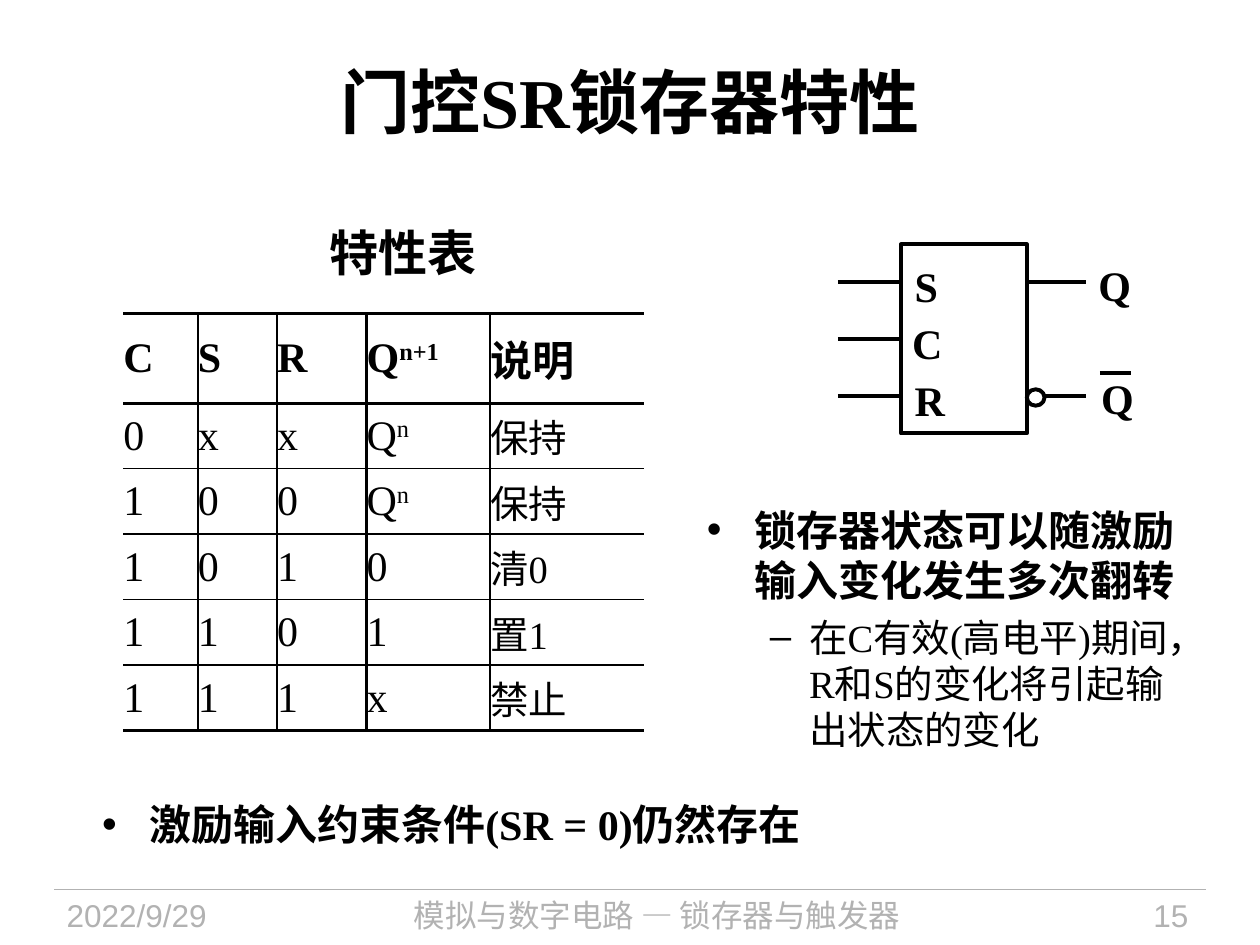
from lxml import etree
from pptx import Presentation
from pptx import util as u
from pptx.dml import color
from pptx.enum import shapes, text
from pptx.oxml import ns

BLACK = color.RGBColor(0, 0, 0)
WHITE = color.RGBColor(255, 255, 255)
GREY = color.RGBColor(0xB2, 0xB2, 0xB2)
ROMAN, ARIAL, HAN = "Times New Roman", "Arial", "Noto Sans CJK SC"
LEFT, MID, RIGHT = (text.PP_ALIGN.LEFT, text.PP_ALIGN.CENTER,
                    text.PP_ALIGN.RIGHT)

BOLD = {"name": ROMAN, "size": u.Pt(24), "bold": True}
PLAIN = {**BOLD, "bold": False}
SMALL = {**PLAIN, "size": u.Pt(22)}
TITLE = {**BOLD, "size": u.Pt(40)}
HEAD = {"name": ARIAL, "size": u.Pt(28), "bold": True}
FOOT = {"name": ARIAL, "size": u.Pt(18)}

# Truth table: a caret marks the start of a superscript
COLS = [0.59, 0.63, 0.71, 0.98, 1.22]
ROWS = [0.71] + [0.52] * 5
CELLS = [
    ["C", "S", "R", "Q^n+1", "说明"],
    ["0", "x", "x", "Q^n", "保持"],
    ["1", "0", "0", "Q^n", "保持"],
    ["1", "0", "1", "0", "清0"],
    ["1", "1", "0", "1", "置1"],
    ["1", "1", "1", "x", "禁止"],
]
VERT = [0, 1, 1, 2.25, 1, 0]           # rule widths between columns
HORIZ = [2.25, 2, 1, 1, 1, 1, 2.25]    # rule widths between rows


def inches(*nums):
    return [u.Inches(n) for n in nums]


def add_run(para, words, form, tint=BLACK):
    run = para.add_run()
    run.text = words
    for key, val in form.items():
        setattr(run.font, key, val)
    run.font.color.rgb = tint
    east = etree.SubElement(run.font._element, ns.qn("a:ea"))
    east.set("typeface", HAN)
    return run


def add_text(slide, box, words, form, tint=BLACK, align=LEFT, wrap=False):
    frame = slide.shapes.add_textbox(*inches(*box)).text_frame
    frame.word_wrap = wrap
    para = frame.paragraphs[0]
    para.alignment = align
    add_run(para, words, form, tint)


def fill_holder(holder, box, items):
    """Move a placeholder and write (words, level, format) items in it."""
    holder.left, holder.top, holder.width, holder.height = inches(*box)
    frame = holder.text_frame
    frame.auto_size = text.MSO_AUTO_SIZE.NONE
    for i, (words, level, form) in enumerate(items):
        para = frame.add_paragraph() if i else frame.paragraphs[0]
        para.level = level
        para.space_before, para.space_after = u.Pt(0), u.Pt(5)
        add_run(para, words, form)
    return frame


def add_line(slide, x1, y1, x2, y2, tint=BLACK, width=2.25):
    line = slide.shapes.add_connector(
        shapes.MSO_CONNECTOR.STRAIGHT, *inches(x1, y1, x2, y2))
    line.line.color.rgb = tint
    line.line.width = u.Pt(width)
    etree.SubElement(line._element.spPr, ns.qn("a:effectLst"))


def add_box(slide, kind, box):
    shape = slide.shapes.add_shape(kind, *inches(*box))
    shape.shadow.inherit = False
    shape.fill.solid()
    shape.fill.fore_color.rgb = WHITE
    shape.line.color.rgb = BLACK
    shape.line.width = u.Pt(2.25)


def set_rules(cell, widths):
    """Draw the left, right, top and bottom rules; zero means none."""
    props = cell._tc.get_or_add_tcPr()
    for i, (side, width) in enumerate(zip("LRTB", widths)):
        rule = etree.Element(ns.qn("a:ln" + side), w=str(u.Pt(width)))
        if width:
            fill = etree.SubElement(rule, ns.qn("a:solidFill"))
            etree.SubElement(fill, ns.qn("a:srgbClr"), val=str(BLACK))
        else:
            etree.SubElement(rule, ns.qn("a:noFill"))
        props.insert(i, rule)


def add_grid(slide, left, top):
    grid = slide.shapes.add_table(
        len(ROWS), len(COLS),
        *inches(left, top, sum(COLS), sum(ROWS))).table
    grid.first_row = grid.horz_banding = False
    for col, width in zip(grid.columns, COLS):
        col.width = u.Inches(width)
    for row, height in zip(grid.rows, ROWS):
        row.height = u.Inches(height)
    for r, line in enumerate(CELLS):
        for c, words in enumerate(line):
            cell = grid.cell(r, c)
            cell.fill.background()
            cell.vertical_anchor = text.MSO_ANCHOR.MIDDLE
            for side in ("left", "right", "top", "bottom"):
                setattr(cell, "margin_" + side, 0)
            set_rules(cell, (VERT[c], VERT[c + 1], HORIZ[r], HORIZ[r + 1]))
            form = BOLD if r == 0 else SMALL if c == 4 else PLAIN
            para = cell.text_frame.paragraphs[0]
            base, _, power = words.partition("^")
            add_run(para, base, form)
            if power:
                run = add_run(para, power, form)
                run.font._element.set("baseline", "30000")


def add_latch(slide, left, top):
    """Latch symbol: a body with three inputs and two outputs."""
    wide, high, step, lead = 1, 1.5, 0.45, 0.5
    right = left + wide
    pins = [top + 0.3 + i * step for i in range(3)]
    add_box(slide, shapes.MSO_SHAPE.RECTANGLE, (left, top, wide, high))
    for name, y, shift in zip("SCR", pins, (0.01, -0.01, 0.01)):
        add_line(slide, left - lead, y, left, y)
        add_text(slide, (left + shift, y - 0.22, 0.45, 0.5), name, BOLD)
    # Outputs, the lower one inverted
    tip = right + 0.47
    for y, start, shift in ((pins[0], right, 0), (pins[2], right + 0.1, 0.02)):
        add_line(slide, start, y, tip, y)
        add_text(slide, (tip + shift, y - 0.23, 0.46, 0.5), "Q", BOLD)
    add_box(slide, shapes.MSO_SHAPE.OVAL, (right, pins[2] - 0.05, 0.14, 0.13))
    add_line(slide, tip + 0.11, pins[2] - 0.18, tip + 0.36, pins[2] - 0.18)


def add_foot(slide, top):
    add_line(slide, 0.43, top, 9.57, top, GREY, 0.75)
    for left, wide, words, align, font in (
            (0.43, 1.88, "2022/9/29", LEFT, ARIAL),
            (2.4, 5.63, "模拟与数字电路 — 锁存器与触发器", MID, HAN),
            (8.2, 1.33, "15", RIGHT, ARIAL)):
        add_text(slide, (left, top, wide, 0.44), words,
                 {**FOOT, "name": font}, GREY, align, True)


def main():
    deck = Presentation()
    deck.slide_width, deck.slide_height = inches(10, 7.5)
    slide = deck.slides.add_slide(deck.slide_layouts[3])
    title, notes, rule = slide.placeholders

    # Title and lists
    frame = fill_holder(title, (0.5, 0.17, 9, 1.25),
                        [("门控SR锁存器特性", 0, TITLE)])
    frame.vertical_anchor = text.MSO_ANCHOR.MIDDLE
    frame.paragraphs[0].alignment = MID
    frame.paragraphs[0].space_after = u.Pt(0)
    fill_holder(notes, (5.51, 3.95, 4.02, 2.36), [
        ("锁存器状态可以随激励输入变化发生多次翻转", 0, BOLD),
        ("在C有效(高电平)期间，R和S的变化将引起输出状态的变化", 1, SMALL)])
    frame = fill_holder(rule, (0.71, 6.33, 8.62, 0.65),
                        [("激励输入约束条件(SR = 0)仍然存在", 0, BOLD)])
    frame.paragraphs[0].line_spacing = 0.9

    # Table, symbol and footer
    add_text(slide, (2.52, 1.72, 1.37, 0.57), "特性表", HEAD)
    add_grid(slide, 0.98, 2.49)
    add_latch(slide, 7.15, 1.94)
    add_foot(slide, 7.06)
    deck.save("out.pptx")


if __name__ == "__main__":
    main()
